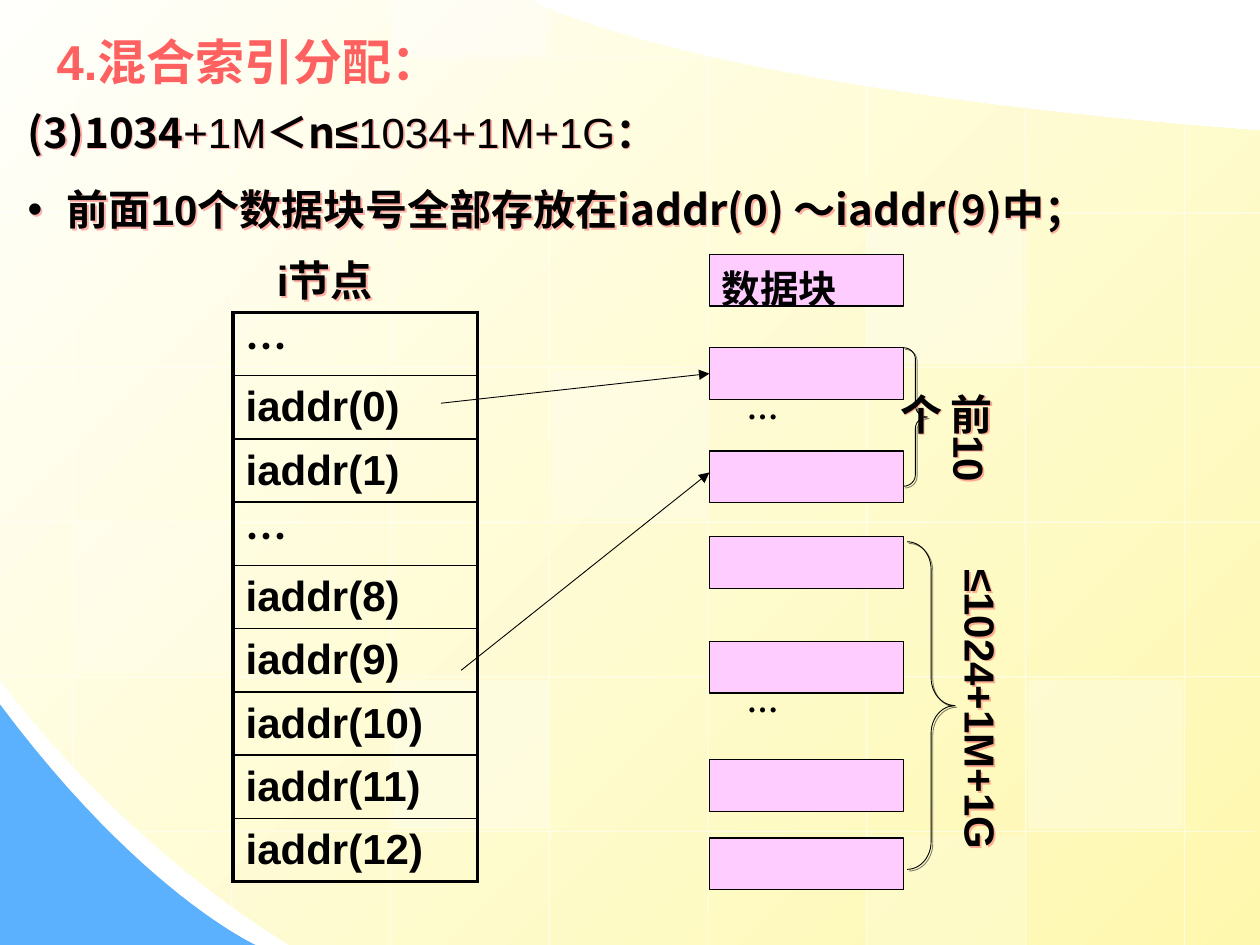
from collections import namedtuple

from lxml import etree
from pptx import Presentation
from pptx.dml.color import RGBColor
from pptx.enum.shapes import MSO_CONNECTOR, MSO_SHAPE
from pptx.enum.text import MSO_ANCHOR, MSO_AUTO_SIZE, PP_ALIGN
from pptx.oxml.ns import qn
from pptx.util import Inches, Pt

STRAIGHT = MSO_CONNECTOR.STRAIGHT
RECTANGLE, RIGHT_BRACE = MSO_SHAPE.RECTANGLE, MSO_SHAPE.RIGHT_BRACE
TOP, MIDDLE, LEFT = MSO_ANCHOR.TOP, MSO_ANCHOR.MIDDLE, PP_ALIGN.LEFT
NO_AUTOFIT = MSO_AUTO_SIZE.NONE

COLUMNS, ROWS, CELL = 100, 75, Inches(0.1)
COLORS = {"ink": "000000", "title": "FF6161", "block": "FFCCFF", "white": "FFFFFF",
          "blue": "5CB1FE", "cream": "FFFFFB", "yellow": "FEF8AF", "glow": "FF6161"}
SANS, HAN, SERIF = "Arial", "Noto Sans CJK SC", "Times New Roman"
Box = namedtuple("Box", "left top width height")


def cells(*counts):
    """Turn counts of grid cells into lengths."""
    return [round(count * CELL) for count in counts]


def within(box, left, top, width, height):
    """Return a box offset from the corner of another box."""
    return Box(box.left + left, box.top + top, width, height)


def rgb(name):
    """Return a named colour."""
    return RGBColor.from_string(COLORS[name])


def child(parent, tag, **attributes):
    """Add an XML child with attributes."""
    element = etree.SubElement(parent, qn(tag))
    for key, value in attributes.items():
        element.set(key, str(value))
    return element


def set_alpha(shape, percent):
    """Make the colour of a shape partly transparent."""
    color = next(shape._element.spPr.iter(qn("a:srgbClr")))
    child(color, "a:alpha", val=percent * 1000)


def cast_shadow(shape, color):
    """Give a shape a small shadow to the lower right."""
    shape.shadow.inherit = False
    effects = shape._element.spPr.find(qn("a:effectLst"))
    shadow = child(effects, "a:outerShdw", dist=Pt(1.4), dir=2700000, algn="ctr", rotWithShape=0)
    child(child(shadow, "a:srgbClr", val=COLORS[color]), "a:alpha", val=50000)


def format_run(span, size, font=SANS, bold=True, color="ink", han=HAN):
    """Format one run for Latin and Chinese text."""
    span.font.size, span.font.bold, span.font.name = Pt(size), bold, font
    span.font.color.rgb = rgb(color)
    child(span._r.get_or_add_rPr(), "a:ea", typeface=han)


def put_line(page, start, end, color, width):
    """Draw a straight line between two grid points."""
    line = page.shapes.add_connector(STRAIGHT, *cells(*start, *end))
    line.line.color.rgb, line.line.width = rgb(color), Pt(width)
    child(line._element.spPr, "a:effectLst")
    return line


def put_shape(page, kind, box, fill=None, outline=None, width=0.75):
    """Draw a preset shape in a box."""
    shape = page.shapes.add_shape(kind, *cells(*box))
    shape.shadow.inherit = False
    if fill:
        shape.fill.solid()
        shape.fill.fore_color.rgb = rgb(fill)
    else:
        shape.fill.background()
    if outline:
        shape.line.color.rgb, shape.line.width = rgb(outline), Pt(width)
    else:
        shape.line.fill.background()
    return shape


def put_label(page, box, text, size, font=SANS, han=HAN, spacing=None, shadow=False, vertical=False):
    """Place a bold label in a text box."""
    label = page.shapes.add_textbox(*cells(*box))
    frame = label.text_frame
    frame.text, frame.word_wrap, frame.auto_size = text, True, NO_AUTOFIT
    para = frame.paragraphs[0]
    if spacing:
        para.line_spacing = Pt(round(size * spacing, 1))
    format_run(para.runs[0], size, font, han=han)
    if vertical:
        frame.margin_left = frame.margin_right = Inches(0.05)
        frame.margin_top = frame.margin_bottom = Inches(0.1)
        frame._txBody.bodyPr.set("vert", "eaVert")
    if shadow:
        cast_shadow(label, "glow")


def curve(start, first, second, end, steps=24):
    """Return points along a cubic curve."""
    shares = [step / steps for step in range(1, steps + 1)]
    return [tuple((1 - t) ** 3 * a + 3 * t * (1 - t) ** 2 * b + 3 * t * t * (1 - t) * c + t ** 3 * d
                  for a, b, c, d in zip(start, first, second, end)) for t in shares]


def put_outline(page, points):
    """Draw a closed outline through grid points."""
    corners = [tuple(cells(*point)) for point in points]
    builder = page.shapes.build_freeform(*corners[0])
    builder.add_line_segments(corners[1:], close=True)
    shape = builder.convert_to_shape()
    shape.shadow.inherit = False
    shape.line.fill.background()
    return shape


def draw_backdrop(page, box):
    """Draw the curved ground, the blue corner and the pale grid."""
    right, bottom = box.width, box.height
    field = put_outline(page, [(right, 10.4), (right, bottom), (23, bottom)]
                        + curve((23, bottom), (8.6, 66.1), (0, 53.9), (0, 53.9))
                        + [(0, 0), (42.1, 0)]
                        + curve((42.1, 0), (42.1, 0), (53.7, 6.9), (right, 10.4)))
    field.fill.gradient()
    field.fill.gradient_angle = 315
    for stop, color in zip(field.fill.gradient_stops, ("cream", "yellow")):
        stop.color.rgb = rgb(color)
    corner = put_outline(page, [(0, 55.9), (0, bottom), (20.3, bottom)]
                         + curve((20.3, bottom), (20.3, bottom), (11.2, 70.9), (0, 55.9)))
    corner.fill.solid()
    corner.fill.fore_color.rgb = rgb("blue")

    spans = [(0, 60.9), (0, 71.9), (0, 75), (0, 75), (4.3, 75), (6.8, 75), (8.5, 75), (9.8, 75)]
    ends = [((5.8 + 12.6 * i, a), (5.8 + 12.6 * i, b)) for i, (a, b) in enumerate(spans)]
    spans = [(0, 56.8)] + [(0, right)] * 4 + [(11.1, 99.7)]
    ends += [((a, 4.6 + 12.28 * i), (b, 4.6 + 12.28 * i)) for i, (a, b) in enumerate(spans)]
    for start, end in ends:
        set_alpha(put_line(page, start, end, "white", 0.75), 50)

    tiles = [(43.8, 29.4, 11.8, 25), (81.6, 54, 11.8, 30), (6, 41.6, 11.8, 20), (69, 66.3, 8.7, 20),
             (31.1, 0, 4.4, 40), (31.2, 54, 11.8, 30), (68.9, 17.1, 11.8, 30)]
    for left, top, height, alpha in tiles:
        set_alpha(put_shape(page, RECTANGLE, Box(left, top, 12.3, height), "white"), alpha)


def fill_placeholder(page, holder, box, anchor):
    """Move a placeholder to a box, above the backdrop."""
    page.shapes._spTree.append(holder._element)
    holder.left, holder.top, holder.width, holder.height = cells(*box)
    frame = holder.text_frame
    frame.word_wrap, frame.auto_size, frame.vertical_anchor = True, NO_AUTOFIT, anchor
    return frame


def write_title(page, box):
    """Write the heading of the slide."""
    frame = fill_placeholder(page, page.shapes.title, box, MIDDLE)
    frame.text = "4.混合索引分配："
    para = frame.paragraphs[0]
    para.alignment, para.line_spacing = LEFT, Pt(36)
    format_run(para.runs[0], 28, color="title")


def write_body(page, box):
    """Write the condition and its bullet."""
    holder = page.placeholders[1]
    frame = fill_placeholder(page, holder, box, TOP)
    lines = [[("(3)1034", HAN, True), ("+1M", SANS, False), ("＜", SANS, True), ("n", HAN, True),
              ("≤", SANS, True), ("1034+1M+1G", SANS, False), ("：", SANS, True)],
             [("前面10个数据块号全部存放在", SANS, True), ("iaddr(0) ～iaddr(9)中；", HAN, True)]]
    for number, line in enumerate(lines):
        para = frame.add_paragraph() if number else frame.paragraphs[0]
        indent = Inches(0.31) * number
        properties = para._p.get_or_add_pPr()
        properties.set("marL", str(indent))
        properties.set("indent", str(-indent))
        if number:
            child(properties, "a:buChar", char="•")
        else:
            child(properties, "a:buNone")
        para.space_before, para.line_spacing = Pt(13 * number), Pt(31.2)
        for text, font, bold in line:
            span = para.add_run()
            span.text = text
            format_run(span, 24, font, bold)
    cast_shadow(holder, "glow")


def draw_inode(page, box):
    """Draw the table of index node addresses with its caption."""
    put_label(page, within(box, 2.5, -5.4, 15.6, 5), "i节点", 24, spacing=1.3, shadow=True)
    names = ["…", *(f"iaddr({i})" for i in (0, 1)), "…", *(f"iaddr({i})" for i in range(8, 13))]
    table = page.shapes.add_table(len(names), 1, *cells(*box)).table
    table.first_row = table.horz_banding = False
    for number, name in enumerate(names):
        cell = table.cell(number, 0)
        cell.text, cell.vertical_anchor = name, MIDDLE
        cell.margin_top = cell.margin_bottom = 0
        format_run(cell.text_frame.paragraphs[0].runs[0], 24, HAN if name == "…" else SANS)
        cell.fill.background()
        widths = {"a:lnL": 2.25, "a:lnR": 2.25, "a:lnT": 1 if number else 2.25,
                  "a:lnB": 1 if number < len(names) - 1 else 2.25}
        properties = cell._tc.get_or_add_tcPr()
        for place, (tag, width) in enumerate(widths.items()):
            border = etree.Element(qn(tag), w=str(Pt(width)))
            child(child(border, "a:solidFill"), "a:srgbClr", val=COLORS["ink"])
            properties.insert(place, border)


def draw_blocks(page, box):
    """Draw the data blocks with braces and counts, and return the blocks."""
    tops = (0, 7.4, 15.6, 22.4, 30.7, 40.1, 46.3)
    blocks = [put_shape(page, RECTANGLE, within(box, 0, top, box.width, 4.1), "block", "ink") for top in tops]
    put_label(page, within(box, 0, 0, 17.3, 4.7), "数据块", 22, SERIF, spacing=1.3)
    for top in (10.1, 33.4):
        put_label(page, within(box, 2, top, 13.5, 4), "…", 18, SERIF, han=SERIF)
    for left, top, width, height, bend in ((15.4, 7.4, 1.9, 11, 0.48), (15.7, 22.8, 3.8, 26, 0.58)):
        brace = put_shape(page, RIGHT_BRACE, within(box, left, top, width, height), None, "ink", 0.5)
        brace.adjustments[0] = bend
        cast_shadow(brace, "ink")
    counts = (("前10个", 14.2, 10, 9, 11), ("≤1024+1M+1G", 18.1, 24, 6, 27))
    for text, *place in counts:
        put_label(page, within(box, *place), text, 24, spacing=1.2, shadow=True, vertical=True)
    return blocks


def draw_pointers(page, blocks):
    """Draw the arrows from two addresses to their data blocks."""
    for start, end in (((35, 32), (56.3, 29.65)), ((36.6, 53.2), (56.3, 37.5))):
        arrow = put_line(page, start, end, "ink", 0.5)
        child(arrow.line._get_or_add_ln(), "a:tailEnd", type="triangle")
        if end[1] < 30:
            arrow.end_connect(blocks[1], 1)


def main():
    """Build the slide and save it."""
    deck = Presentation()
    deck.slide_width, deck.slide_height = cells(COLUMNS, ROWS)
    page = deck.slides.add_slide(deck.slide_layouts[1])
    draw_backdrop(page, Box(0, 0, COLUMNS, ROWS))
    write_title(page, Box(3.5, 1.5, 90, 6.4))
    write_body(page, Box(1.2, 7.6, 94.5, 11.1))
    draw_inode(page, Box(18.5, 24.8, 19.4, 45.2))
    draw_pointers(page, draw_blocks(page, Box(56.3, 20.2, 15.4, 50.4)))
    deck.save("out.pptx")


if __name__ == "__main__":
    main()
